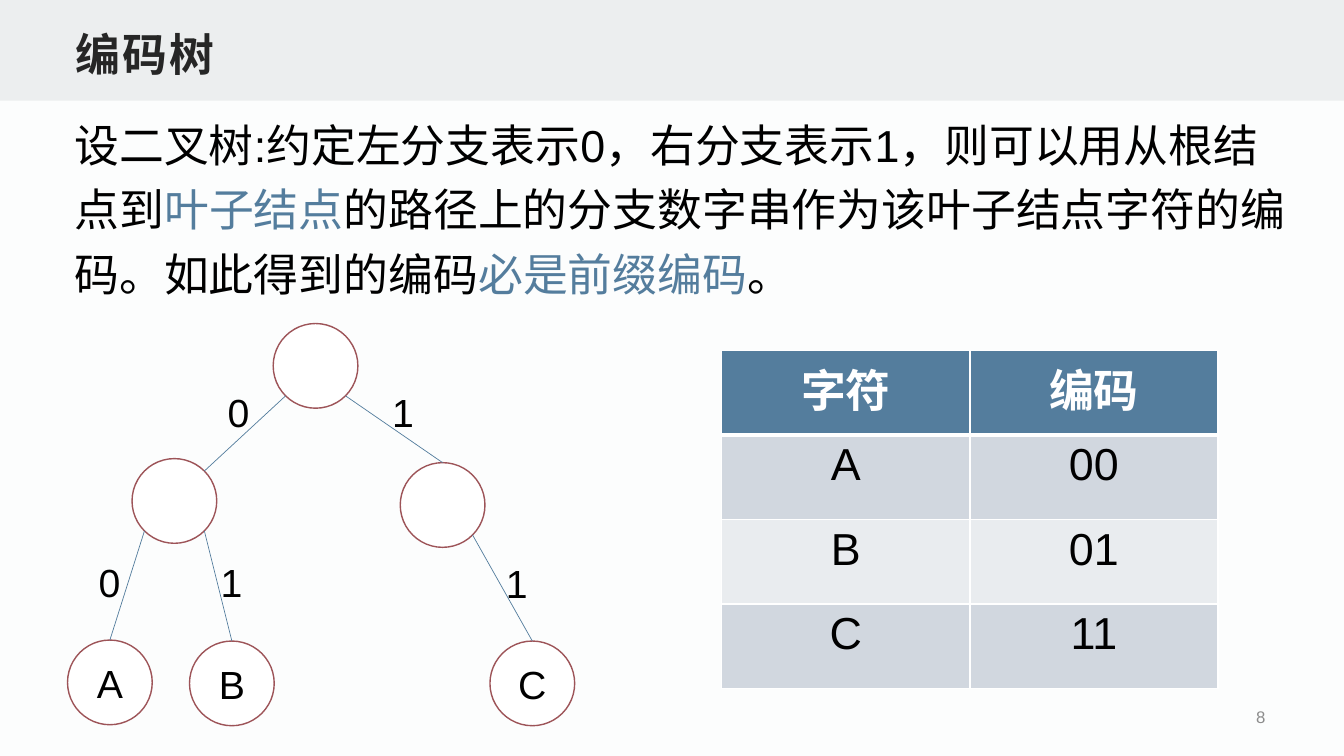
"""Build the coding tree slide: rule text, binary tree and code table."""
from math import sqrt
from lxml.etree import SubElement
from pptx import Presentation
from pptx.dml.color import RGBColor
from pptx.enum.shapes import MSO_CONNECTOR, MSO_SHAPE
from pptx.enum.text import MSO_ANCHOR, MSO_AUTO_SIZE, PP_ALIGN
from pptx.oxml.ns import qn
from pptx.util import Inches, Pt

BLACK, WHITE, BLUE, RED = "000000", "FFFFFF", "547D9D", "9D5458"
TITLE = "编码树"
RULE = [
    ("设二叉树:约定左分支表示0，右分支表示1，则可以用从根结点到", BLACK),
    ("叶子结点", BLUE),
    ("的路径上的分支数字串作为该叶子结点字符的编码。如此得到的编码", BLACK),
    ("必是前缀编码", BLUE),
    ("。", BLACK),
]
SIZE = 0.84
NODES = {
    "root": (2.71, 3.21, ""),
    "left": (1.31, 4.55, ""),
    "right": (3.97, 4.59, ""),
    "B": (1.88, 6.36, "B"),
    "A": (0.67, 6.35, "A"),
    "C": (4.86, 6.36, "C"),
}
EDGES = [
    ("root", "left", -1, "0", 2.16, 3.8),
    ("root", "right", 1, "1", 3.79, 3.8),
    ("left", "A", -1, "0", 0.88, 5.49),
    ("left", "B", 1, "1", 2.09, 5.49),
    ("right", "C", 1, "1", 4.92, 5.5),
]
CODES = [("字符", "编码"), ("A", "00"), ("B", "01"), ("C", "11")]
FILLS = [BLUE, "D1D7DF", "E9ECEF", "D1D7DF"]


def color(code):
    return RGBColor.from_string(code)


def paint(fill, code):
    fill.solid()
    fill.fore_color.rgb = color(code)


def write(para, text, code=BLACK, **look):
    run = para.add_run()
    run.text = text
    for key, value in {"name": "Arial", "size": Pt(32), **look}.items():
        setattr(run.font, key, value)
    run.font.color.rgb = color(code)
    return run


def add_text(slide, box, **look):
    frame = slide.shapes.add_textbox(*map(Inches, box)).text_frame
    for key, value in {"word_wrap": True, **look}.items():
        setattr(frame, key, value)
    return frame.paragraphs[0]


def add_form(slide, kind, box, fill, line=None):
    form = slide.shapes.add_shape(kind, *map(Inches, box))
    form.shadow.inherit = False
    paint(form.fill, fill)
    if line:
        form.line.color.rgb = color(line)
        form.line.width = Pt(1)
    else:
        form.line.fill.background()
    return form


def add_head(slide):
    add_form(slide, MSO_SHAPE.RECTANGLE, (0, 0, 13.33, 1), "ECEEEF")
    para = add_text(slide, (0.67, 0.17, 12, 0.67),
                    vertical_anchor=MSO_ANCHOR.BOTTOM,
                    margin_left=Inches(0.08), margin_right=Inches(0.08),
                    margin_top=Inches(0.04), margin_bottom=Inches(0.04))
    run = write(para, TITLE, "262626", bold=True)
    run.font._element.set("spc", "150")
    para = add_text(slide, (0.64, 1.01, 12.35, 2.04),
                    auto_size=MSO_AUTO_SIZE.SHAPE_TO_FIT_TEXT)
    para.line_spacing = 1.2
    for text, code in RULE:
        write(para, text, code)
    para = add_text(slide, (9.7, 6.94, 2.95, 0.35),
                    vertical_anchor=MSO_ANCHOR.MIDDLE)
    para.alignment = PP_ALIGN.RIGHT
    write(para, "8", "8C8C8C", size=Pt(12))


def add_tree(slide):
    forms = {}
    for name, (left, top, text) in NODES.items():
        form = add_form(slide, MSO_SHAPE.OVAL, (left, top, SIZE, SIZE), WHITE, RED)
        forms[name] = form
        if text:
            form.text_frame.vertical_anchor = MSO_ANCHOR.MIDDLE
            para = form.text_frame.paragraphs[0]
            para.alignment = PP_ALIGN.CENTER
            write(para, text, size=Pt(28))
    half, slant = SIZE / 2, SIZE / 2 / sqrt(2)
    for start, end, side, digit, left, top in EDGES:
        (ax, ay, _), (bx, by, _) = NODES[start], NODES[end]
        tip = (bx + half, by)
        if end == "left":
            tip = (bx + half + slant, by + half - slant)
        base = (ax + half + side * slant, ay + half + slant)
        edge = slide.shapes.add_connector(MSO_CONNECTOR.STRAIGHT,
                                          *map(Inches, base + tip))
        if end != "left":
            edge.end_connect(forms[end], 0)
        edge.line.color.rgb = color(BLUE)
        edge.line.width = Pt(0.5)
        SubElement(edge._element.spPr, qn("a:effectLst"))
        para = add_text(slide, (left, top, 0.37, 0.57),
                        auto_size=MSO_AUTO_SIZE.SHAPE_TO_FIT_TEXT)
        write(para, digit, size=Pt(28))


def add_rim(cell, widths):
    props = cell._tc.get_or_add_tcPr()
    for side, width in widths.items():
        line = SubElement(props, qn("a:ln" + side), w=str(Pt(width)))
        fill = SubElement(line, qn("a:solidFill"))
        SubElement(fill, qn("a:srgbClr"), val=WHITE)


def add_codes(slide):
    box = map(Inches, (7.16, 3.48, 4.92, 3.35))
    table = slide.shapes.add_table(len(CODES), 2, *box).table
    for row, (texts, fill) in enumerate(zip(CODES, FILLS)):
        for col, text in enumerate(texts):
            cell = table.cell(row, col)
            add_rim(cell, {"L": 1, "R": 1, "T": 3 if row == 1 else 1,
                           "B": 3 if row == 0 else 1})
            paint(cell.fill, fill)
            para = cell.text_frame.paragraphs[0]
            para.alignment = PP_ALIGN.CENTER
            write(para, text, BLACK if row else WHITE, bold=row == 0)


def main():
    deck = Presentation()
    deck.slide_width, deck.slide_height = Inches(13.33), Inches(7.5)
    slide = deck.slides.add_slide(deck.slide_layouts[6])
    paint(slide.background.fill, "FCFDFD")
    add_head(slide)
    add_tree(slide)
    add_codes(slide)
    deck.save("out.pptx")


if __name__ == "__main__":
    main()
